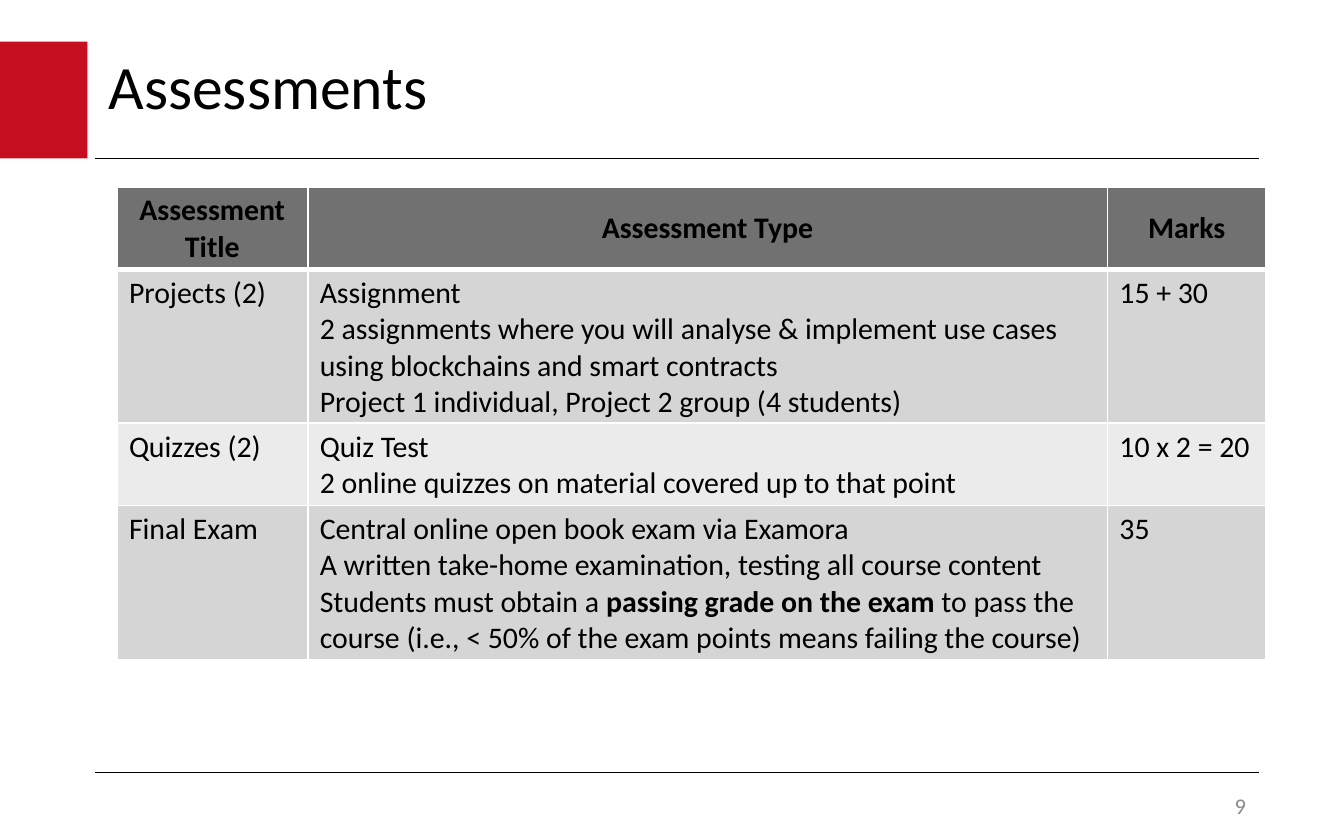
from dataclasses import dataclass

import pptx
import pptx.dml.color
import pptx.enum.shapes
import pptx.enum.text
import pptx.oxml
import pptx.oxml.ns
import pptx.util
from pptx.util import Inches

FONT = "Calibri"
BLACK, WHITE, RED, GREY = "000000", "FFFFFF", "C50E1F", "8C8C8C"
HEADER_FILL, BAND_FILLS = "717171", ("D5D5D5", "EBEBEB")
ALIGN = pptx.enum.text.PP_ALIGN
ANCHOR = pptx.enum.text.MSO_ANCHOR
RULE_LEFT, RULE_RIGHT = 0.71, 9.37
COLUMN_WIDTHS = (1.42, 5.95, 1.18)
HEADINGS = ("Assessment Title", "Assessment Type", "Marks")
HEADER_HEIGHT = 0.6


@dataclass
class Assessment:
    title: str
    details: list[str]  # text between ** marks is bold
    marks: str
    height: float


ASSESSMENTS = [
    Assessment("Projects (2)", [
        "Assignment",
        "2 assignments where you will analyse & implement use cases "
        "using blockchains and smart contracts",
        "Project 1 individual, Project 2 group (4 students)",
    ], "15 + 30", 1.05),
    Assessment("Quizzes (2)", [
        "Quiz Test",
        "2 online quizzes on material covered up to that point",
    ], "10 x 2 = 20", 0.57),
    Assessment("Final Exam", [
        "Central online open book exam via Examora",
        "A written take-home examination, testing all course content",
        "Students must obtain a **passing grade on the exam **to pass the "
        "course (i.e., < 50% of the exam points means failing the course)",
    ], "35", 1.05),
]


def color(value: str) -> pptx.dml.color.RGBColor:
    return pptx.dml.color.RGBColor.from_string(value)


def style(para, size: float, value: str = BLACK, align=ALIGN.LEFT) -> None:
    para.alignment = align
    para.font.name = FONT
    para.font.size = pptx.util.Pt(size)
    para.font.color.rgb = color(value)


def add_text(page, text: str, left: float, top: float, width: float, height: float,
             size: float, value: str = BLACK, align=ALIGN.LEFT):
    box = page.shapes.add_textbox(Inches(left), Inches(top), Inches(width), Inches(height))
    frame = box.text_frame
    frame.word_wrap = True
    frame.vertical_anchor = ANCHOR.MIDDLE
    para = frame.paragraphs[0]
    para.text = text
    style(para, size, value, align)
    return para


def add_rule(page, top: float) -> None:
    rule = page.shapes.add_connector(pptx.enum.shapes.MSO_CONNECTOR.STRAIGHT,
                                     Inches(RULE_LEFT), Inches(top),
                                     Inches(RULE_RIGHT), Inches(top))
    rule.line.color.rgb = color(BLACK)
    rule.line.width = pptx.util.Pt(0.75)
    properties = rule._element.spPr
    properties.append(properties.makeelement(pptx.oxml.ns.qn("a:effectLst"), {}))


def set_borders(cell, top: float, bottom: float) -> None:
    properties = cell._tc.get_or_add_tcPr()
    widths = {"lnL": 1, "lnR": 1, "lnT": top, "lnB": bottom}
    for index, (side, width) in enumerate(widths.items()):
        properties.insert(index, pptx.oxml.parse_xml(
            f'<a:{side} {pptx.oxml.ns.nsdecls("a")} w="{pptx.util.Pt(width)}">'
            f'<a:solidFill><a:srgbClr val="{WHITE}"/></a:solidFill></a:{side}>'))


def fill_cell(cell, lines: list[str], fill: str, header: bool = False,
              top: float = 1) -> None:
    cell.fill.solid()
    cell.fill.fore_color.rgb = color(fill)
    cell.margin_left = cell.margin_right = Inches(0.09)
    cell.margin_top = cell.margin_bottom = Inches(0.04)
    cell.vertical_anchor = ANCHOR.MIDDLE if header else ANCHOR.TOP
    frame = cell.text_frame
    for number, line in enumerate(lines):
        para = frame.add_paragraph() if number else frame.paragraphs[0]
        style(para, 16, align=ALIGN.CENTER if header else ALIGN.LEFT)
        for part, text in enumerate(line.split("**")):
            span = para.add_run()
            span.text = text
            span.font.bold = header or part % 2 == 1
    set_borders(cell, top, 3 if header else 1)


def add_assessment_table(page) -> None:
    heights = [HEADER_HEIGHT] + [item.height for item in ASSESSMENTS]
    table = page.shapes.add_table(len(heights), len(COLUMN_WIDTHS), Inches(0.87), Inches(1.39),
                                  Inches(sum(COLUMN_WIDTHS)), Inches(sum(heights))).table
    for column, width in zip(table.columns, COLUMN_WIDTHS):
        column.width = Inches(width)
    for row, height in zip(table.rows, heights):
        row.height = Inches(height)
    for column, heading in enumerate(HEADINGS):
        fill_cell(table.cell(0, column), [heading], HEADER_FILL, header=True)
    for row, item in enumerate(ASSESSMENTS, start=1):
        fill = BAND_FILLS[(row - 1) % 2]
        for column, lines in enumerate(([item.title], item.details, [item.marks])):
            fill_cell(table.cell(row, column), lines, fill, top=3 if row == 1 else 1)


def main() -> None:
    deck = pptx.Presentation()
    deck.slide_width, deck.slide_height = Inches(10), Inches(6.25)
    page = deck.slides.add_slide(deck.slide_layouts[6])

    # Red block and rules
    block = page.shapes.add_shape(pptx.enum.shapes.MSO_SHAPE.RECTANGLE,
                                  Inches(0), Inches(0.31), Inches(0.65), Inches(0.87))
    block.shadow.inherit = False
    block.fill.solid()
    block.fill.fore_color.rgb = color(RED)
    block.line.fill.background()
    for top in (1.18, 5.75):
        add_rule(page, top)

    # Title, table and page number
    title = add_text(page, "Assessments", RULE_LEFT, 0.31, RULE_RIGHT - RULE_LEFT, 0.71, 33)
    title.line_spacing = 0.9
    add_assessment_table(page)
    add_text(page, "9", 7.34, 5.87, 2.03, 0.25, 12, GREY, ALIGN.RIGHT)

    deck.save("out.pptx")


if __name__ == "__main__":
    main()
